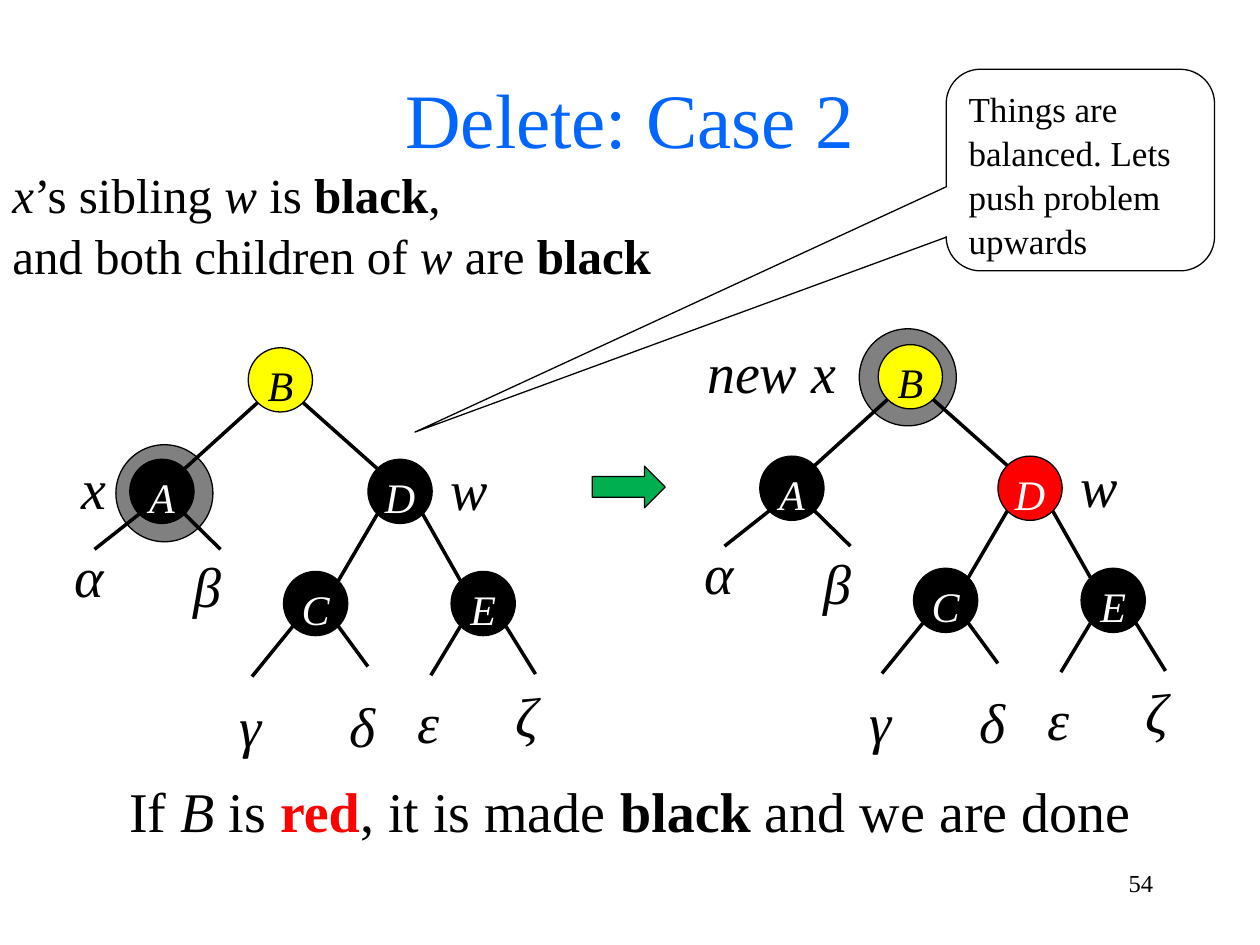
from lxml import etree
from pptx import Presentation
from pptx import util as u
from pptx.dml.color import RGBColor
from pptx.enum import shapes, text
from pptx.oxml.ns import qn

COLORS = {"black": "000000", "white": "FFFFFF", "blue": "0066FF", "red": "FF0000",
          "yellow": "FFFF00", "gray": "808080", "green": "00B050"}
rgb = {name: RGBColor.from_string(value) for name, value in COLORS.items()}
LEFT, CENTER, RIGHT = text.PP_ALIGN.LEFT, text.PP_ALIGN.CENTER, text.PP_ALIGN.RIGHT
TOP, MIDDLE = text.MSO_ANCHOR.TOP, text.MSO_ANCHOR.MIDDLE

presentation = Presentation()
presentation.slide_width, presentation.slide_height = u.Inches(10), u.Inches(7.5)
COLUMNS = 100
cell = presentation.slide_width // COLUMNS
slide = presentation.slides.add_slide(presentation.slide_layouts[5])


def write(shape, runs, size, color="black", align=CENTER, anchor=TOP, italic=None, inset=True):
    frame = shape.text_frame
    frame.word_wrap = True
    frame.auto_size = text.MSO_AUTO_SIZE.NONE
    frame.vertical_anchor = anchor
    if not inset:
        frame.margin_left = frame.margin_right = frame.margin_top = frame.margin_bottom = 0
    paragraph = frame.paragraphs[0]
    paragraph.alignment = align
    paragraph.line_spacing = 1.05
    font = paragraph.font
    font.name, font.size, font.italic = "Times New Roman", u.Pt(size), italic
    font.color.rgb = rgb[color]
    for words, style in runs:
        if words == "\n":
            paragraph.add_line_break()
            continue
        run = paragraph.add_run()
        run.text = words
        if style == "italic":
            run.font.italic = True
        elif style:
            run.font.bold = True
            run.font.color.rgb = rgb[style]


def draw(kind, left, top, width, height, fill=None):
    shape = slide.shapes.add_shape(kind, *(round(n * cell) for n in (left, top, width, height)))
    shape.shadow.inherit = False
    if fill:
        shape.fill.solid()
        shape.fill.fore_color.rgb = rgb[fill]
    else:
        shape.fill.background()
    shape.line.color.rgb = rgb["black"]
    shape.line.width = u.Pt(0.75)
    return shape


title = slide.shapes.title
title.left, title.top, title.width, title.height = 0, round(4.8 * cell), COLUMNS * cell, round(12.5 * cell)
write(title, [("Delete: Case 2", None)], 44, "blue")

sentences = [
    (0, 12.3, 100, 10.4, 28, LEFT,
     [("x", "italic"), ("’s sibling ", None), ("w", "italic"), (" is ", None), ("black", "black"),
      (",", None), ("\n", None), ("and both children of ", None), ("w", "italic"),
      (" are ", None), ("black", "black")]),
    (0, 60.9, 100, 6.4, 32, CENTER,
     [("If ", None), ("B", "italic"), (" is ", None), ("red", "red"), (", it is made ", None),
      ("black", "black"), (" and we are done", None)]),
    (71.7, 68.3, 20.8, 5, 14, RIGHT, [("54", None)]),
]
for left, top, width, height, size, align, runs in sentences:
    box = slide.shapes.add_textbox(*(round(n * cell) for n in (left, top, width, height)))
    write(box, runs, size, align=align)

draw(shapes.MSO_SHAPE.RIGHT_ARROW, 47, 37, 5.8, 3.3, "green")

NODE, RING, CORNER = 5.1, 7.7, 1.8
nodes = {"B": (22.25, 30.15), "A": (12.85, 39), "D": (31.75, 39), "C": (25.05, 47.9), "E": (38.35, 47.9)}
branches = [("B", -1, "A"), ("B", 1, "D"), ("D", -1, "C"), ("D", 1, "E")]
stubs = [("A", -1, 7.5, 43.6), ("A", 1, 17.5, 43.6), ("C", -1, 20, 53.7),
         ("C", 1, 29.2, 52.9), ("E", -1, 34.2, 53.6), ("E", 1, 42.5, 53.5)]
subtrees = [(" α", 3.3, 42.2), ("β", 13.3, 43), (" γ", 16.1, 54.1),
            (" δ", 25, 54.1), (" ε", 30.3, 53.8), ("ζ", 38.6, 53.3)]
trees = [
    (0, 0, (9.2, 35.3), "black", ("x", 5.2, 35.8, 4.5)),
    (50, -0.25, (18.2, 26.35), "red", ("new x", 5, 26.85, 12.5)),
]
for shift_x, shift_y, (ring_x, ring_y), sibling_color, marker in trees:
    draw(shapes.MSO_SHAPE.OVAL, ring_x + shift_x, ring_y + shift_y, RING, RING, "gray")
    fills = {"B": "yellow", "D": sibling_color}
    for name, (x, y) in nodes.items():
        node = draw(shapes.MSO_SHAPE.OVAL, x + shift_x - NODE / 2, y + shift_y - NODE / 2,
                    NODE, NODE, fills.get(name, "black"))
        write(node, [(name, None)], 24, "black" if name == "B" else "white", italic=True, inset=False)

    ends = [(parent, side, nodes[child][0] - side * CORNER, nodes[child][1] - CORNER)
            for parent, side, child in branches]
    for parent, side, end_x, end_y in ends + stubs:
        x, y = nodes[parent]
        points = (x + side * CORNER + shift_x, y + CORNER + shift_y, end_x + shift_x, end_y + shift_y)
        edge = slide.shapes.add_connector(shapes.MSO_CONNECTOR.STRAIGHT, *(round(n * cell) for n in points))
        edge.line.color.rgb = rgb["black"]
        edge.line.width = u.Pt(2)
        etree.SubElement(edge._element.spPr, qn("a:effectLst"))

    labels = [(words, x, y, 6.4, 6.4, TOP) for words, x, y in subtrees]
    labels += [(*label, 5.4, MIDDLE) for label in (marker, ("w", 35, 35.9, 4.5))]
    for words, x, y, width, height, anchor in labels:
        box = slide.shapes.add_textbox(*(round(n * cell) for n in (x + shift_x, y + shift_y, width, height)))
        write(box, [(words, None)], 32, anchor=anchor, italic=True, inset=anchor == TOP)

callout = draw(shapes.MSO_SHAPE.ROUNDED_RECTANGULAR_CALLOUT, 75.1, 5.5, 21.3, 16)
for index, value in enumerate((-2.48, 1.3, 0.17)):
    callout.adjustments[index] = value
write(callout, [("Things are balanced. Lets push problem upwards", None)], 20, align=LEFT)

presentation.save("out.pptx")
